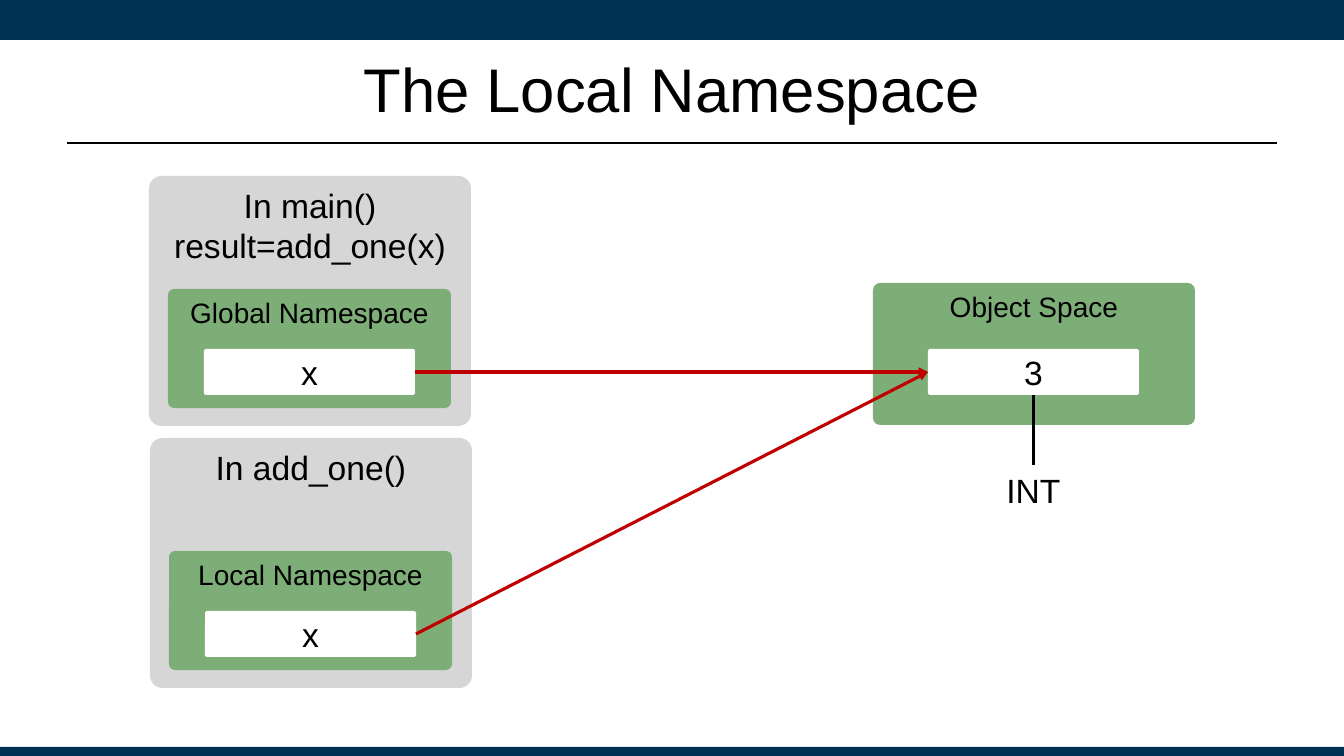
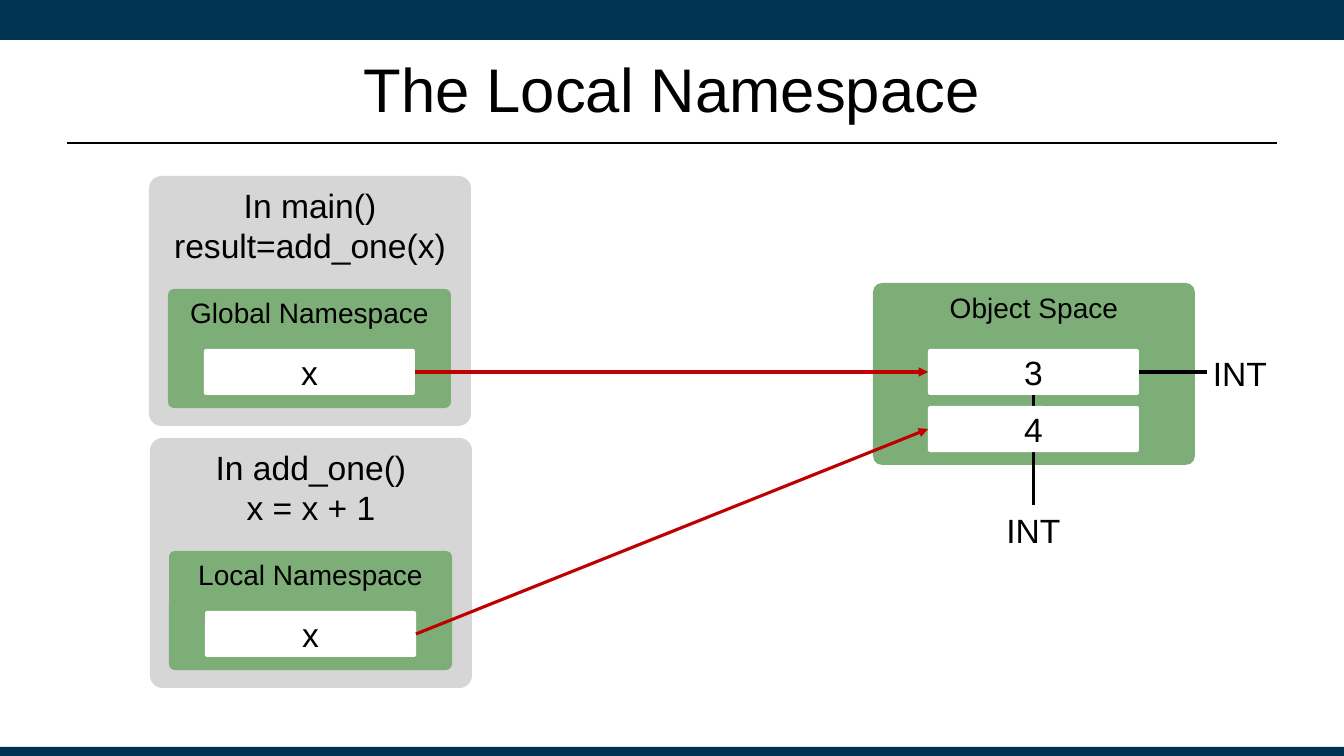
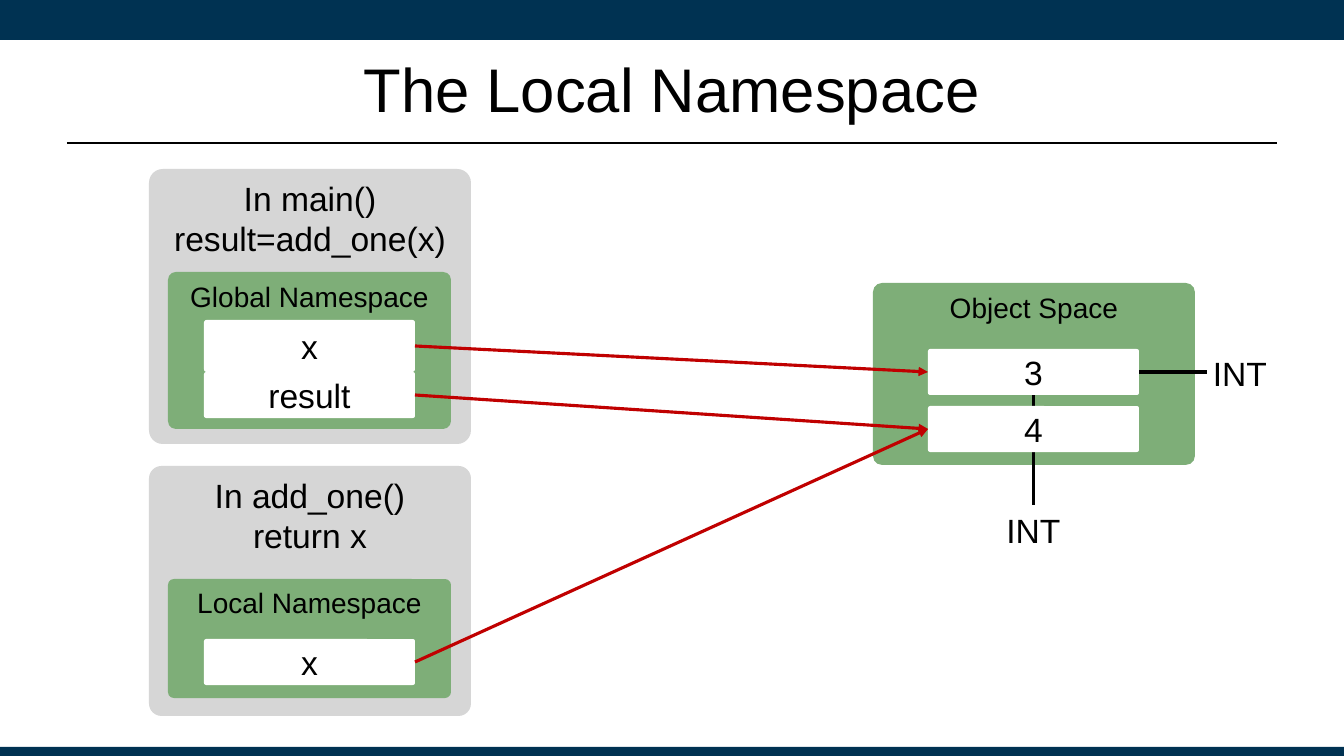
from dataclasses import dataclass
from lxml.etree import SubElement
from pptx import Presentation
from pptx.dml.color import RGBColor
from pptx.enum.shapes import MSO_CONNECTOR, MSO_SHAPE
from pptx.enum.text import MSO_ANCHOR, PP_ALIGN
from pptx.oxml.ns import qn
from pptx.util import Emu, Pt


@dataclass(frozen=True)
class Theme:
    navy: str = "003252"
    gray: str = "D6D6D6"
    green: str = "7EAE78"
    white: str = "FFFFFF"
    black: str = "000000"
    red: str = "C00000"
    font: str = "Arial"
    title: int = 44
    code: int = 24
    caption: int = 20
    rule: float = 1.25
    link: float = 2.25
    corner: float = 0.05


@dataclass(frozen=True)
class Frame:
    code: str
    caption: str
    left: int
    top: int
    height: int = 250
    space_top: int = 113
    space_height: int = 119
    names_top: int = 60
    names: tuple = (("x", 46),)


THEME = Theme()
SLIDE_WIDTH, SLIDE_HEIGHT = 1344, 756
PANEL_WIDTH, CELL_WIDTH, CELL_HEIGHT = 322, 211, 46
LABEL_HEIGHT = 50
TOP, LEFT, BOTTOM, RIGHT = range(4)


def px(length):
    return Emu(round(length * 914400 / 100.8))


def write(holder, text, size, anchor):
    frame = holder.text_frame
    frame.word_wrap = True
    frame.vertical_anchor = anchor
    frame.text = text
    for paragraph in frame.paragraphs:
        paragraph.alignment = PP_ALIGN.CENTER
        paragraph.font.name = THEME.font
        paragraph.font.size = Pt(size)
        paragraph.font.color.rgb = RGBColor.from_string(THEME.black)


def fill_box(slide, kind, box, color):
    shape = slide.shapes.add_shape(kind, *map(px, box))
    shape.shadow.inherit = False
    shape.fill.solid()
    shape.fill.fore_color.rgb = RGBColor.from_string(color)
    shape.line.fill.background()
    return shape


def panel(slide, box, color, text, size, anchor=MSO_ANCHOR.TOP):
    shape = fill_box(slide, MSO_SHAPE.ROUNDED_RECTANGLE, box, color)
    shape.adjustments[0] = THEME.corner
    write(shape, text, size, anchor)
    return shape


def cell(slide, left, top, height, text):
    box = left, top, CELL_WIDTH, height
    return panel(slide, box, THEME.white, text, THEME.code, MSO_ANCHOR.MIDDLE)


def line(slide, start, end, color, width, arrow=False):
    connector = slide.shapes.add_connector(
        MSO_CONNECTOR.STRAIGHT, *map(px, (*start, *end)))
    connector.line.color.rgb = RGBColor.from_string(color)
    connector.line.width = Pt(width)
    properties = connector.element.spPr
    if arrow:
        SubElement(properties.find(qn("a:ln")), qn("a:tailEnd"), type="triangle")
    SubElement(properties, qn("a:effectLst"))
    return connector


def reference(slide, name, value):
    arrow = line(slide, (0, 0), (0, 0), THEME.red, THEME.link, arrow=True)
    arrow.begin_connect(name, RIGHT)
    arrow.end_connect(value, LEFT)


def type_label(slide, left, top, width):
    label = slide.shapes.add_textbox(*map(px, (left, top, width, LABEL_HEIGHT)))
    write(label, "INT", THEME.code, MSO_ANCHOR.TOP)


def call_frame(slide, frame):
    panel(slide, (frame.left, frame.top, PANEL_WIDTH, frame.height),
          THEME.gray, frame.code, THEME.code)
    left, top = frame.left + 19, frame.top + frame.space_top
    panel(slide, (left, top, PANEL_WIDTH - 39, frame.space_height),
          THEME.green, frame.caption, THEME.caption)
    top += frame.names_top
    names = []
    for name, height in frame.names:
        names.append(cell(slide, left + 36, top, height, name))
        top += height
    return names


def object_space(slide, left, top, values):
    height = 142 if len(values) == 1 else 182
    panel(slide, (left, top, PANEL_WIDTH, height),
          THEME.green, "Object Space", THEME.caption)
    cell_left, cell_top, pitch = left + 55, top + 66, 57
    center = cell_left + CELL_WIDTH / 2
    label_top = top + height + 40
    line(slide, (center, cell_top + CELL_HEIGHT), (center, label_top),
         THEME.black, THEME.link)
    type_label(slide, center - 41, label_top, 82)
    if len(values) > 1:
        middle, right = cell_top + CELL_HEIGHT / 2, left + PANEL_WIDTH
        line(slide, (cell_left + CELL_WIDTH, middle), (right + 12, middle),
             THEME.black, THEME.link)
        type_label(slide, right, middle - 24, 90)
    return [cell(slide, cell_left, cell_top + row * pitch, CELL_HEIGHT, value)
            for row, value in enumerate(values)]


def decorate_layout(slide):
    bands = [
        fill_box(slide, MSO_SHAPE.RECTANGLE, box, THEME.navy)
        for box in ((0, 0, SLIDE_WIDTH, 40), (0, 747, SLIDE_WIDTH, 9))
    ]
    rule = line(slide, (67, 143), (1277, 143), THEME.black, THEME.rule)
    for part in (*bands, rule):
        slide.slide_layout.shapes.element.append(part.element)


def title(slide, text):
    heading = slide.shapes.title
    heading.left, heading.top, heading.width, heading.height = map(
        px, (67, 25, 1210, 126))
    write(heading, text, THEME.title, MSO_ANCHOR.MIDDLE)


def namespace_slide(slide, frames, values, targets):
    title(slide, "The Local Namespace")
    names = [name for frame in frames for name in call_frame(slide, frame)]
    objects = object_space(slide, 873, 283, values)
    for name, target in zip(names, targets):
        reference(slide, name, objects[target])


MAIN_CODE = "In main()\nresult=add_one(x)"
MAIN = Frame(MAIN_CODE, "Global Namespace", 149, 176)
MAIN_WITH_RESULT = Frame(
    MAIN_CODE, "Global Namespace", 149, 169, 275, 103, 157, 48,
    (("x", 52), ("result", CELL_HEIGHT)))


def add_one(step, left, top):
    return Frame("In add_one()" + step, "Local Namespace", left, top)


STEPS = (
    ((MAIN, add_one("", 150, 438)), ("3",), (0, 0)),
    ((MAIN, add_one("\nx = x + 1", 150, 438)), ("3", "4"), (0, 1)),
    ((MAIN_WITH_RESULT, add_one("\nreturn x", 149, 466)), ("3", "4"), (0, 1, 1)),
)

deck = Presentation()
deck.slide_width, deck.slide_height = px(SLIDE_WIDTH), px(SLIDE_HEIGHT)
title_only = deck.slide_layouts[5]
slides = [deck.slides.add_slide(title_only) for step in STEPS]
decorate_layout(slides[0])
for slide, step in zip(slides, STEPS):
    namespace_slide(slide, *step)
deck.save("out.pptx")
